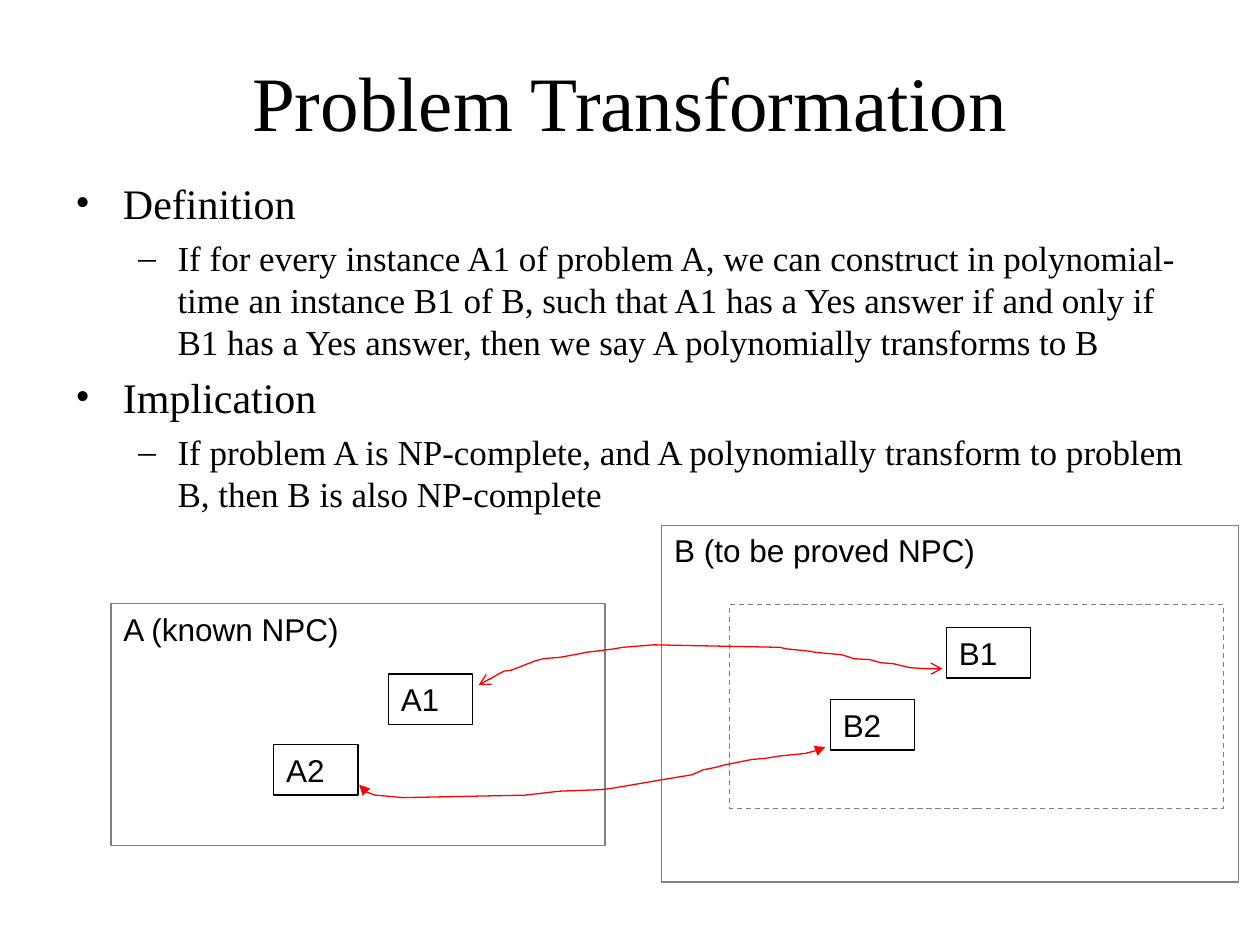
from pptx import Presentation
from pptx import util as u
from pptx.dml.color import RGBColor
from pptx.enum import dml, shapes, text
from pptx.oxml.ns import qn
from lxml import etree

BLACK, GREY, RED = "000000", "808080", "FF0000"
SERIF, SANS = "Times New Roman", "Arial"
INSTANCE_SIZE = (1.7, 1.02)

DEFINITION = ("If for every instance A1 of problem A, we can construct in polynomial-time "
              "an instance B1 of B, such that A1 has a Yes answer if and only if B1 has a "
              "Yes answer, then we say A polynomially transforms to B")
IMPLICATION = ("If problem A is NP-complete, and A polynomially transform to problem B, "
               "then B is also NP-complete")
# text, level
OUTLINE = [("Definition", 0), (DEFINITION, 1), ("Implication", 0), (IMPLICATION, 1)]
# bullet, font size, text indent and hanging indent in cm
LEVELS = [("•", 24, 0.96, 0.96), ("–", 20, 2.06, 0.79)]

# Hand-drawn links, in cm from the top left corner of each link
LINK_1 = [(0, 0.81), (0.13, 0.71), (0.23, 0.69), (0.36, 0.61), (0.51, 0.53), (0.66, 0.51),
          (0.74, 0.48), (1.12, 0.33), (1.3, 0.28), (1.65, 0.25), (2.03, 0.18), (2.18, 0.15),
          (2.74, 0.08), (2.9, 0.05), (3.53, 0), (6.07, 0.05), (6.2, 0.08), (6.68, 0.13),
          (6.78, 0.15), (7.32, 0.2), (7.57, 0.28), (7.9, 0.3), (8.1, 0.36), (8.36, 0.38),
          (8.69, 0.46), (9.0, 0.48), (9.35, 0.48)]
LINK_2 = [(0, 0.76), (0.1, 0.89), (0.33, 0.97), (0.89, 1.02), (3.35, 0.97), (4.04, 0.89),
          (4.85, 0.86), (5.05, 0.84), (5.64, 0.74), (6.1, 0.66), (6.71, 0.56), (6.93, 0.46),
          (7.19, 0.41), (7.37, 0.36), (7.52, 0.33), (7.92, 0.25), (8.18, 0.23), (8.48, 0.18),
          (8.99, 0.13), (9.3, 0.05), (9.4, 0)]


def color(value):
    return RGBColor.from_string(value)


def set_font(paragraph, name, size):
    paragraph.font.name = name
    paragraph.font.size = u.Pt(size)
    paragraph.font.color.rgb = color(BLACK)


def style_outline(shape, line_color):
    shape.shadow.inherit = False
    shape.fill.background()
    shape.line.color.rgb = color(line_color)
    shape.line.width = u.Pt(0.75)


def add_text_frame(slide, box):
    frame = slide.shapes.add_textbox(*map(u.Cm, box)).text_frame
    frame.word_wrap = True
    return frame


def add_title(slide, box):
    frame = add_text_frame(slide, box)
    frame.vertical_anchor = text.MSO_ANCHOR.MIDDLE
    paragraph = frame.paragraphs[0]
    paragraph.text = "Problem Transformation"
    paragraph.alignment = text.PP_ALIGN.CENTER
    set_font(paragraph, SERIF, 44)


def add_outline(slide, box):
    frame = add_text_frame(slide, box)
    frame.margin_top = u.Cm(0.28)
    for index, (content, level) in enumerate(OUTLINE):
        bullet, size, indent, hanging = LEVELS[level]
        paragraph = frame.add_paragraph() if index else frame.paragraphs[0]
        paragraph.text = content
        paragraph.level = level
        paragraph.space_before = u.Pt(5 if index else 0)
        properties = paragraph._p.get_or_add_pPr()
        properties.set("marL", str(u.Cm(indent)))
        properties.set("indent", str(-u.Cm(hanging)))
        etree.SubElement(properties, qn("a:buFont"), typeface=SERIF)
        etree.SubElement(properties, qn("a:buChar"), char=bullet)
        set_font(paragraph, SERIF, size)


def add_rectangle(slide, box, line_color, label=""):
    shape = slide.shapes.add_shape(shapes.MSO_SHAPE.RECTANGLE, *map(u.Cm, box))
    style_outline(shape, line_color)
    if label:
        frame = shape.text_frame
        frame.vertical_anchor = text.MSO_ANCHOR.TOP
        paragraph = frame.paragraphs[0]
        paragraph.text = label
        paragraph.alignment = text.PP_ALIGN.LEFT
        set_font(paragraph, SANS, 18)
    return shape


def add_instances(slide, box, instances):
    for label, dx, dy in instances:
        add_rectangle(slide, (box[0] + dx, box[1] + dy, *INSTANCE_SIZE), BLACK, label)


def add_known_problem(slide, box):
    add_rectangle(slide, box, GREY, "A (known NPC)")
    add_instances(slide, box, [("A1", 5.59, 1.42), ("A2", 3.28, 2.84)])


def add_target_problem(slide, box):
    add_rectangle(slide, box, GREY, "B (to be proved NPC)")
    # Dashed subset holding the transformed instances
    subset = (box[0] + 1.37, box[1] + 1.6, 9.96, 4.11)
    add_rectangle(slide, subset, GREY).line.dash_style = dml.MSO_LINE.DASH
    add_instances(slide, subset, [("B1", 4.37, 0.46), ("B2", 2.03, 1.91)])


def add_link(slide, left, top, points, arrowhead):
    corners = [(u.Cm(left + x), u.Cm(top + y)) for x, y in points]
    builder = slide.shapes.build_freeform(*corners[0])
    builder.add_line_segments(corners[1:], close=False)
    shape = builder.convert_to_shape()
    style_outline(shape, RED)
    line = shape.line._get_or_add_ln()
    for end in ("a:headEnd", "a:tailEnd"):
        etree.SubElement(line, qn(end), type=arrowhead)


def main():
    presentation = Presentation()
    presentation.slide_width, presentation.slide_height = u.Cm(25.4), u.Cm(19.05)
    slide = presentation.slides.add_slide(presentation.slide_layouts[6])

    # Heading and bullets
    add_title(slide, (1.27, 0.76, 22.86, 2.54))
    add_outline(slide, (1.27, 3.3, 22.86, 7.29))

    # Problems and their instances
    add_known_problem(slide, (2.24, 12.17, 9.96, 4.88))
    add_target_problem(slide, (13.34, 10.59, 11.63, 7.19))

    # Links between matching instances
    add_link(slide, 9.65, 13, LINK_1, "arrow")
    add_link(slide, 7.24, 15.06, LINK_2, "triangle")

    presentation.save("out.pptx")


if __name__ == "__main__":
    main()
